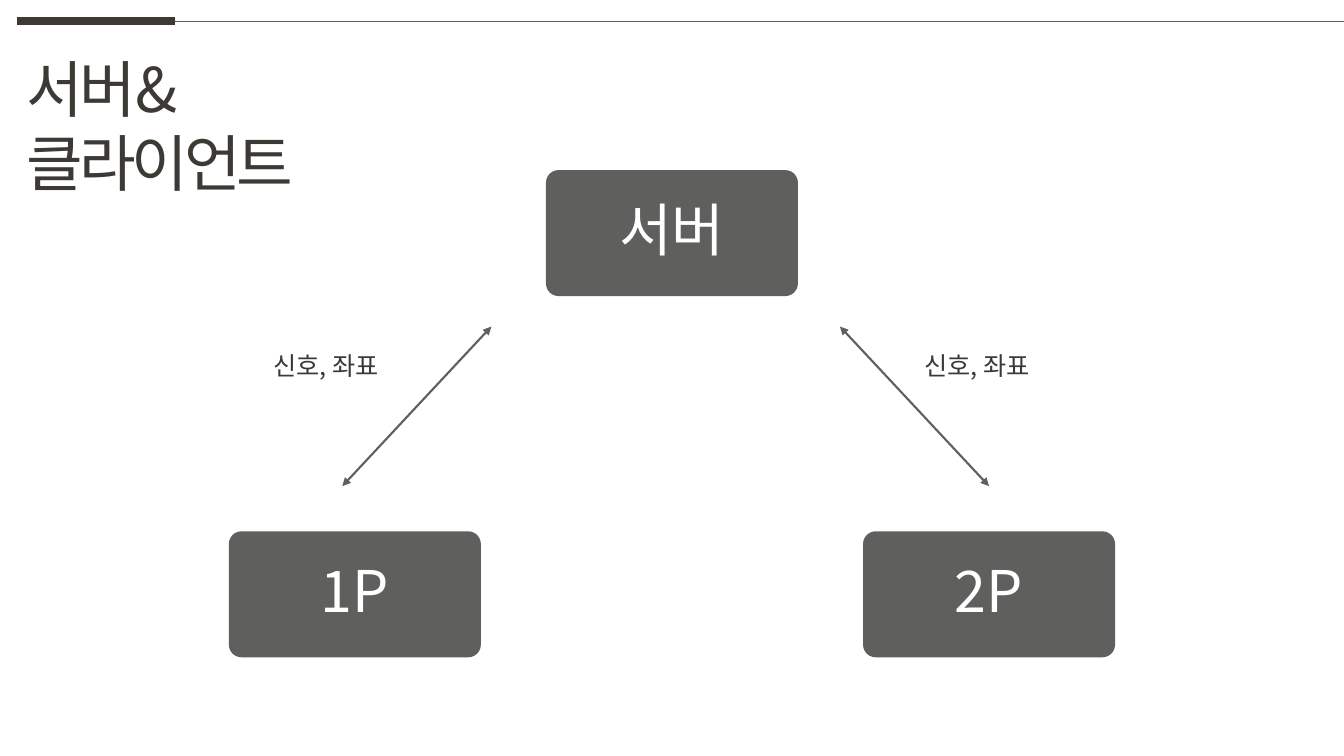
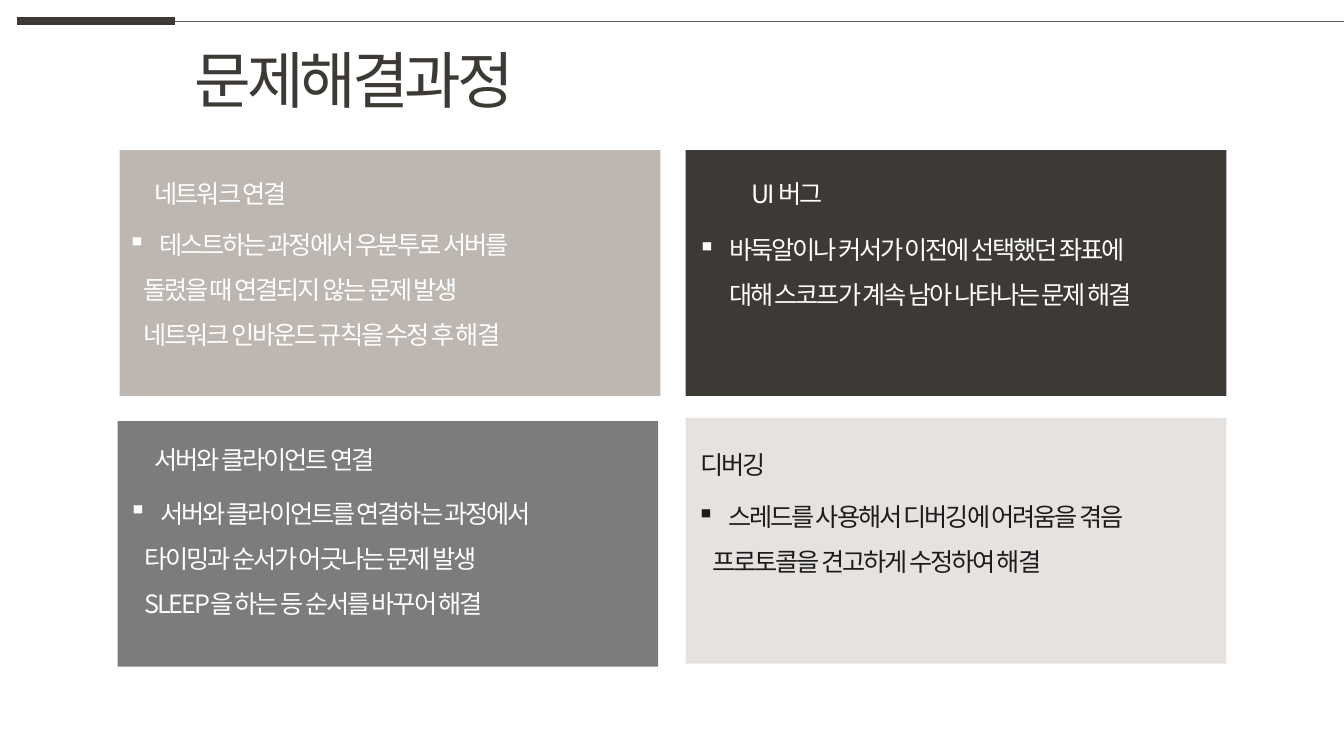
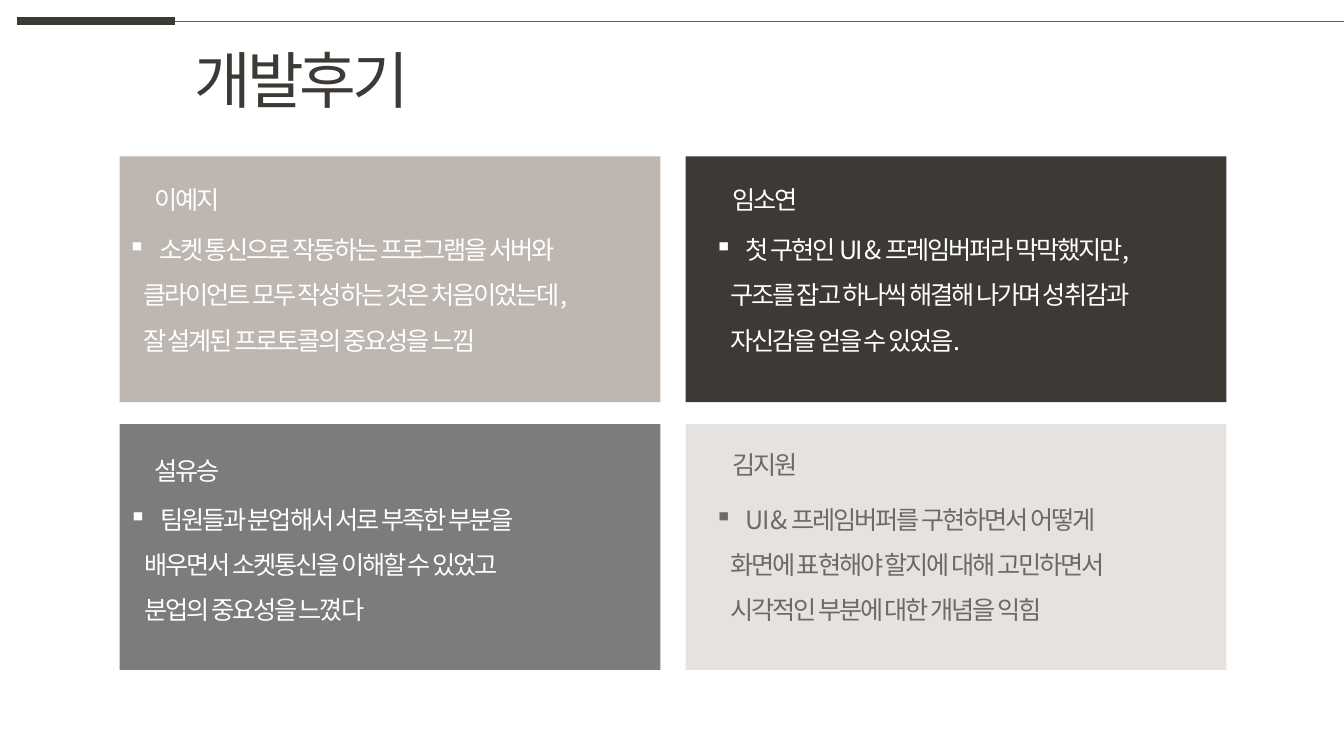
from dataclasses import dataclass

from lxml import etree
from pptx import Presentation
from pptx.dml.color import RGBColor
from pptx.enum.shapes import MSO_CONNECTOR, MSO_SHAPE
from pptx.enum.text import MSO_ANCHOR, MSO_AUTO_SIZE, PP_ALIGN
from pptx.oxml.ns import qn
from pptx.util import Emu, Pt

STRAIGHT = MSO_CONNECTOR.STRAIGHT
RECTANGLE = MSO_SHAPE.RECTANGLE
ROUNDED = MSO_SHAPE.ROUNDED_RECTANGLE
MIDDLE = MSO_ANCHOR.MIDDLE
GROW = MSO_AUTO_SIZE.SHAPE_TO_FIT_TEXT
LEFT, CENTER, RIGHT = PP_ALIGN.LEFT, PP_ALIGN.CENTER, PP_ALIGN.RIGHT

EMU_PER_PX = 9525
BLANK_LAYOUT = 6


@dataclass(frozen=True)
class Theme:
    font: str = "Noto Sans CJK KR"
    dark: str = "3D3A35"
    gray: str = "5F5F5D"
    label: str = "3A3838"
    white: str = "FFFFFF"
    ink: str = "1D1C1C"
    muted: str = "6C6969"
    cards: tuple = ("BEB7B1", "3D3A35", "7C7C7A", "E5E2E0")
    title_size: int = 44
    node_size: int = 41
    text_size: int = 18
    title_tracking: float = -3
    text_tracking: float = -1.5


def px(value):
    return Emu(value * EMU_PER_PX)


class Deck:
    def __init__(self, theme):
        self.theme = theme
        self.presentation = Presentation()
        self.presentation.slide_width = px(1280)
        self.presentation.slide_height = px(720)
        self.slide = None

    def new_slide(self, title, left, top, width, wrap=False):
        theme = self.theme
        layout = self.presentation.slide_layouts[BLANK_LAYOUT]
        self.slide = self.presentation.slides.add_slide(layout)
        self.line((16, 20), (167, 20), theme.dark, 6)
        self.line((167, 20), (1280, 20), theme.gray, 0.5)
        frame = self.text_box((left, top, width, 81), wrap)
        self.add_text(frame.paragraphs[0], title, theme.title_size, theme.dark,
                      theme.title_tracking)

    def line(self, start, end, color, weight, arrows=False):
        connector = self.slide.shapes.add_connector(
            STRAIGHT, *map(px, start + end))
        connector.line.color.rgb = RGBColor.from_string(color)
        connector.line.width = Pt(weight)
        properties = connector._element.spPr
        if arrows:
            outline = properties.find(qn("a:ln"))
            for name in ("a:headEnd", "a:tailEnd"):
                etree.SubElement(outline, qn(name), type="triangle")
        etree.SubElement(properties, qn("a:effectLst"))

    def text_box(self, box, wrap=False):
        frame = self.slide.shapes.add_textbox(*map(px, box)).text_frame
        frame.word_wrap = wrap
        frame.auto_size = GROW
        return frame

    def add_text(self, paragraph, text, size, color, tracking=0):
        for index, part in enumerate(text.split("\n")):
            if index:
                paragraph.add_line_break()
            run = paragraph.add_run()
            run.text = part
            run.font.size = Pt(size)
            run.font.color.rgb = RGBColor.from_string(color)
            run.font.name = self.theme.font
            properties = run._r.get_or_add_rPr()
            etree.SubElement(properties, qn("a:ea"), typeface=self.theme.font)
            if tracking:
                properties.set("spc", str(int(tracking * 100)))

    def block(self, kind, box, fill):
        shape = self.slide.shapes.add_shape(kind, *map(px, box))
        shape.shadow.inherit = False
        shape.fill.solid()
        shape.fill.fore_color.rgb = RGBColor.from_string(fill)
        shape.line.fill.background()
        return shape

    def node(self, text, left, top):
        shape = self.block(ROUNDED, (left, top, 240, 120), self.theme.gray)
        shape.adjustments[0] = 0.1
        frame = shape.text_frame
        frame.word_wrap = True
        frame.vertical_anchor = MIDDLE
        frame.margin_left = frame.margin_right = px(20)
        frame.margin_top = frame.margin_bottom = px(20)
        paragraph = frame.paragraphs[0]
        paragraph.alignment = CENTER
        paragraph.line_spacing = 0.9
        self.add_text(paragraph, text, self.theme.node_size, self.theme.white)

    def label(self, text, left, top, width):
        frame = self.text_box((left, top, width, 38), wrap=True)
        self.add_text(frame.paragraphs[0], text, self.theme.text_size,
                      self.theme.label)

    def heading(self, text, box, color, align):
        paragraph = self.text_box(box).paragraphs[0]
        paragraph.alignment = align
        paragraph.line_spacing = 1.5
        self.add_text(paragraph, text, self.theme.text_size, color,
                      self.theme.text_tracking)

    def body(self, lines, box, color):
        frame = self.text_box(box)
        for index, text in enumerate(lines):
            paragraph = frame.add_paragraph() if index else frame.paragraphs[0]
            paragraph.line_spacing = 1.5
            properties = paragraph._p.get_or_add_pPr()
            if index:
                properties.set("marL", str(px(15)))
            else:
                properties.set("marL", str(px(30)))
                properties.set("indent", str(px(-30)))
                etree.SubElement(properties, qn("a:buChar"), char="▪")
            self.add_text(paragraph, text, self.theme.text_size, color,
                          self.theme.text_tracking)

    def cards(self, corners, cards, last_color):
        colors = [self.theme.white] * 3 + [last_color]
        for corner, fill in zip(corners, self.theme.cards):
            self.block(RECTANGLE, corner + (515, 234), fill)
        for color, card in zip(colors, cards):
            heading, heading_at, align, lines, body_at = card
            left, top, width = heading_at
            self.heading(heading, (left, top, width, 48), color, align)
            self.body(lines, body_at, color)


def server_and_clients(deck):
    deck.new_slide("서버&클라이언트", 16, 44, 400, wrap=True)
    for name, left, top in (("서버", 520, 162), ("2P", 822, 506),
                            ("1P", 218, 506)):
        deck.node(name, left, top)
    for start, end in (((468, 311), (326, 463)), ((942, 463), (800, 311))):
        deck.line(start, end, deck.theme.gray, 1.5, arrows=True)
    for left, width in ((251, 151), (871, 175)):
        deck.label("신호, 좌표", left, 329, width)


def problem_solving(deck):
    deck.new_slide("문제해결과정", 176, 35, 350)
    deck.cards(
        ((114, 143), (653, 143), (112, 401), (653, 398)),
        (
            ("네트워크 연결", (138, 151, 163), LEFT,
             ("테스트하는 과정에서 우분투로 서버를",
              "돌렸을 때 연결되지 않는 문제 발생",
              "네트워크 인바운드 규칙을 수정 후 해결"),
             (112, 199, 456, 179)),
            ("UI 버그", (699, 151, 94), RIGHT,
             ("바둑알이나 커서가 이전에 선택했던 좌표에\n"
              "대해 스코프가 계속 남아 나타나는 문제 해결",),
             (655, 204, 510, 135)),
            ("서버와 클라이언트 연결", (138, 404, 262), LEFT,
             ("서버와 클라이언트를 연결하는 과정에서",
              "타이밍과 순서가 어긋나는 문제 발생",
              "SLEEP을 하는 등 순서를 바꾸어 해결"),
             (113, 455, 468, 135)),
            ("디버깅", (658, 409, 86), LEFT,
             ("스레드를 사용해서 디버깅에 어려움을 겪음",
              "프로토콜을 견고하게 수정하여 해결"),
             (654, 458, 500, 91)),
        ),
        deck.theme.ink)


def reviews(deck):
    deck.new_slide("개발후기", 176, 35, 240)
    deck.cards(
        ((114, 149), (653, 149), (114, 404), (653, 404)),
        (
            ("이예지", (138, 156, 86), LEFT,
             ("소켓 통신으로 작동하는 프로그램을 서버와",
              "클라이언트 모두 작성하는 것은 처음이었는데,",
              "잘 설계된 프로토콜의 중요성을 느낌"),
             (112, 204, 522, 135)),
            ("임소연", (683, 156, 86), RIGHT,
             ("첫 구현인 UI & 프레임버퍼라 막막했지만,",
              "구조를 잡고 하나씩 해결해 나가며 성취감과",
              "자신감을 얻을 수 있었음."),
             (671, 204, 500, 135)),
            ("설유승", (138, 415, 86), LEFT,
             ("팀원들과 분업해서 서로 부족한 부분을",
              "배우면서 소켓통신을 이해할 수 있었고",
              "분업의 중요성을 느꼈다"),
             (113, 461, 445, 179)),
            ("김지원", (683, 409, 86), RIGHT,
             ("UI & 프레임버퍼를 구현하면서 어떻게",
              "화면에 표현해야 할지에 대해 고민하면서",
              "시각적인 부분에 대한 개념을 익힘"),
             (671, 461, 478, 135)),
        ),
        deck.theme.muted)


def main():
    deck = Deck(Theme())
    server_and_clients(deck)
    problem_solving(deck)
    reviews(deck)
    deck.presentation.save("out.pptx")


if __name__ == "__main__":
    main()
